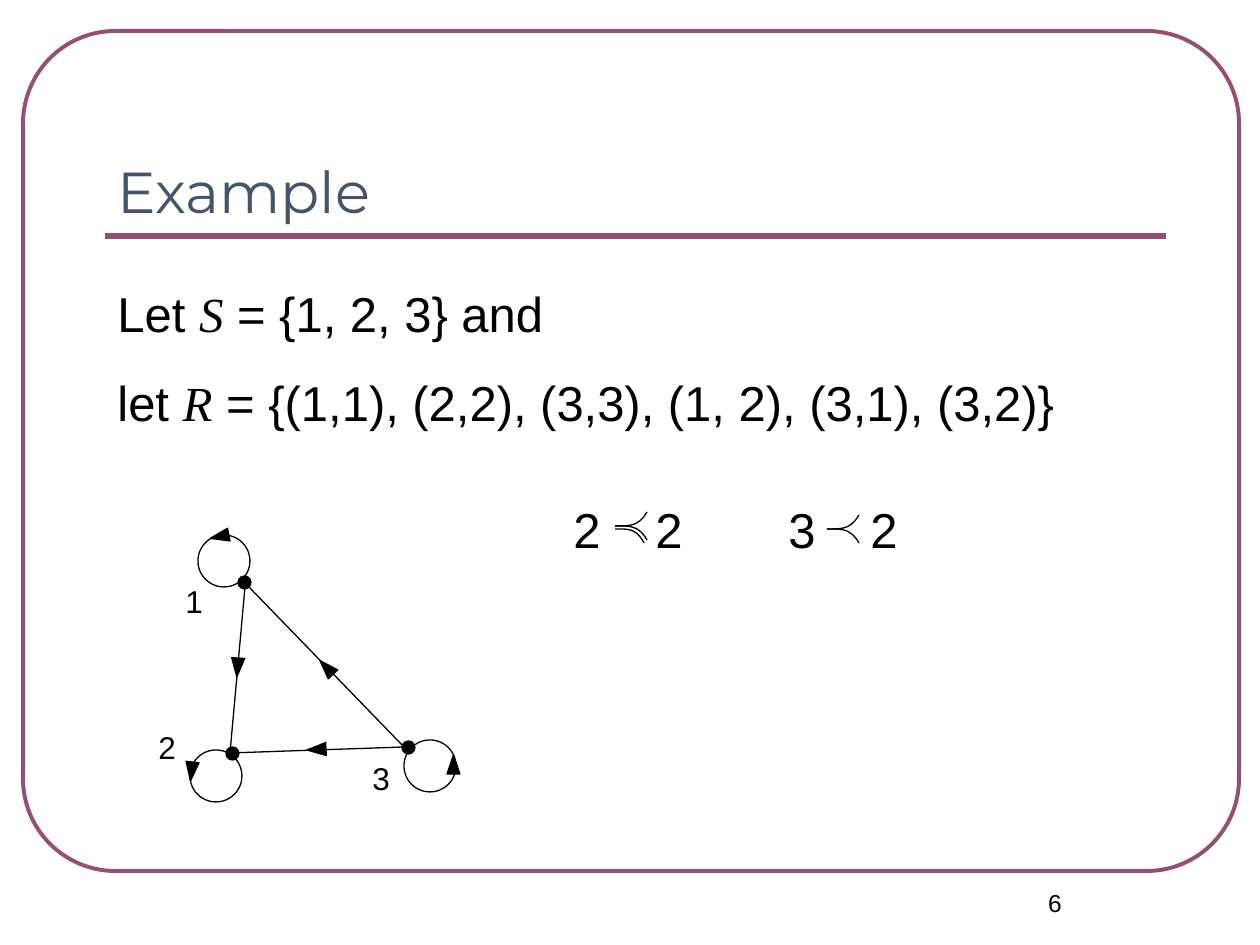
"""Builds a slide with an example of a partial order and its directed graph."""
import pptx
import pptx.dml.color
import pptx.enum.shapes
import pptx.enum.text
import pptx.oxml
import pptx.oxml.ns
import pptx.util

SCALE = 914400 / 126
BLACK, PLUM, SLATE = "000000", "954F72", "44546A"
SHAPES = pptx.enum.shapes.MSO_SHAPE
ALIGN = pptx.enum.text.PP_ALIGN
ANCHOR = pptx.enum.text.MSO_ANCHOR


def emu(pixels):
    return pptx.util.Emu(round(pixels * SCALE))


def color(code):
    return pptx.dml.color.RGBColor.from_string(code)


def add_run(paragraph, text, size=28, font="Arial", fill=BLACK, italic=False):
    run = paragraph.add_run()
    run.text = text
    run.font.size = pptx.util.Pt(size)
    run.font.name = font
    run.font.italic = italic
    run.font.color.rgb = color(fill)


class SlideBuilder:
    def __init__(self, slide, line_color=BLACK, line_width=0.75):
        self.slide = slide
        self.line_color = line_color
        self.line_width = line_width

    def outline(self, shape, line_color=None, line_width=None):
        shape.line.color.rgb = color(line_color or self.line_color)
        shape.line.width = pptx.util.Pt(line_width or self.line_width)

    def shape(self, kind, left, top, width, height, fill=None, rotation=0, **line):
        shape = self.slide.shapes.add_shape(kind, *map(emu, (left, top, width, height)))
        shape.shadow.inherit = False
        shape.rotation = rotation
        if fill:
            shape.fill.solid()
            shape.fill.fore_color.rgb = color(fill)
        else:
            shape.fill.background()
        self.outline(shape, **line)
        return shape

    def line(self, start, end, **line):
        connector = self.slide.shapes.add_connector(
            pptx.enum.shapes.MSO_CONNECTOR.STRAIGHT, *map(emu, (*start, *end)))
        properties = connector._element.spPr
        self.outline(connector, **line)
        properties.append(pptx.oxml.parse_xml(
            f"<a:effectLst {pptx.oxml.ns.nsdecls('a')}/>"))

    def arrowhead(self, left, top, rotation):
        self.shape(SHAPES.ISOSCELES_TRIANGLE, left, top, 13, 19, BLACK, rotation)

    def curve(self, left, top, width, rise):
        steps = 16
        points = [(emu(left + width * step / steps), emu(top + rise * (step / steps) ** 4))
                  for step in range(steps + 1)]
        builder = self.slide.shapes.build_freeform(*points[0])
        builder.add_line_segments(points[1:], close=False)
        shape = builder.convert_to_shape()
        shape.shadow.inherit = False
        shape.fill.background()
        self.outline(shape)

    def text(self, left, top, width, height, paragraphs, space=0, align=ALIGN.LEFT,
             anchor=ANCHOR.TOP, tab=None, **style):
        box = self.slide.shapes.add_textbox(*map(emu, (left, top, width, height)))
        frame = box.text_frame
        frame.word_wrap = True
        frame.vertical_anchor = anchor
        for index, runs in enumerate(paragraphs):
            paragraph = frame.add_paragraph() if index else frame.paragraphs[0]
            paragraph.alignment = align
            paragraph.space_before = pptx.util.Pt(space)
            if tab:
                paragraph._p.get_or_add_pPr().append(pptx.oxml.parse_xml(
                    f"<a:tabLst {pptx.oxml.ns.nsdecls('a')}>"
                    f'<a:tab pos="{emu(tab)}" algn="l"/></a:tabLst>'))
            for text, changes in runs:
                add_run(paragraph, text, **{**style, **changes})


def main():
    presentation = pptx.Presentation()
    presentation.slide_width = emu(1260)
    presentation.slide_height = emu(945)
    builder = SlideBuilder(presentation.slides.add_slide(presentation.slide_layouts[6]))

    frame = builder.shape(SHAPES.ROUNDED_RECTANGLE, 23, 31, 1216, 840,
                          line_color=PLUM, line_width=2.25)
    frame.adjustments[0] = 0.11
    builder.line((105, 236), (1166, 236), line_color=PLUM, line_width=3)
    builder.text(945, 882, 220, 63, [[("6", {})]], align=ALIGN.CENTER, size=14)
    builder.text(105, 73, 1061, 158, [[("Example", {})]], anchor=ANCHOR.BOTTOM,
                 size=33, font="Montserrat", fill=SLATE)

    variable = {"font": "Times New Roman", "italic": True}
    builder.text(105, 277, 1091, 161, [
        [("Let ", {}), ("S", variable), (" = {1, 2, 3} and", {})],
        [("let ", {}), ("R", variable),
         (" = {(1,1), (2,2), (3,3), (1, 2), (3,1), (3,2)}", {})],
    ], space=17.5)

    nodes = [
        ("1", (238, 576), (173, 576), (198, 535), (213, 527, 258.6)),
        ("2", (226, 747), (146, 722), (190, 750), (185, 762, 186.2)),
        ("3", (402, 741), (360, 753), (404, 740), (447, 755, 0)),
    ]
    for name, dot, label, loop, arrowhead in nodes:
        builder.shape(SHAPES.OVAL, *dot, 13, 13, BLACK)
        builder.text(*label, 53, 50, [[(name, {})]], space=11.2, size=18)
        builder.shape(SHAPES.OVAL, *loop, 52, 52)
        builder.arrowhead(*arrowhead)

    edges = [
        ((246, 576), (230, 753), (231, 658, 184.2)),
        ((404, 747), (249, 587), (320, 658, 316.7)),
        ((404, 747), (230, 753), (310, 740, 267)),
    ]
    for start, end, arrowhead in edges:
        builder.line(start, end)
        builder.arrowhead(*arrowhead)

    relations = [("2\t2", 561, 615, 526), ("3\t2", 776, 827, 529)]
    for text, left, symbol_left, symbol_top in relations:
        builder.text(left, 493, 147, 72, [[(text, {})]], space=17.5, tab=82)
        for rise in (-14, 14):
            builder.curve(symbol_left, symbol_top, 32, rise)
    builder.curve(615, 529, 29, 14)

    presentation.save("out.pptx")


if __name__ == "__main__":
    main()
